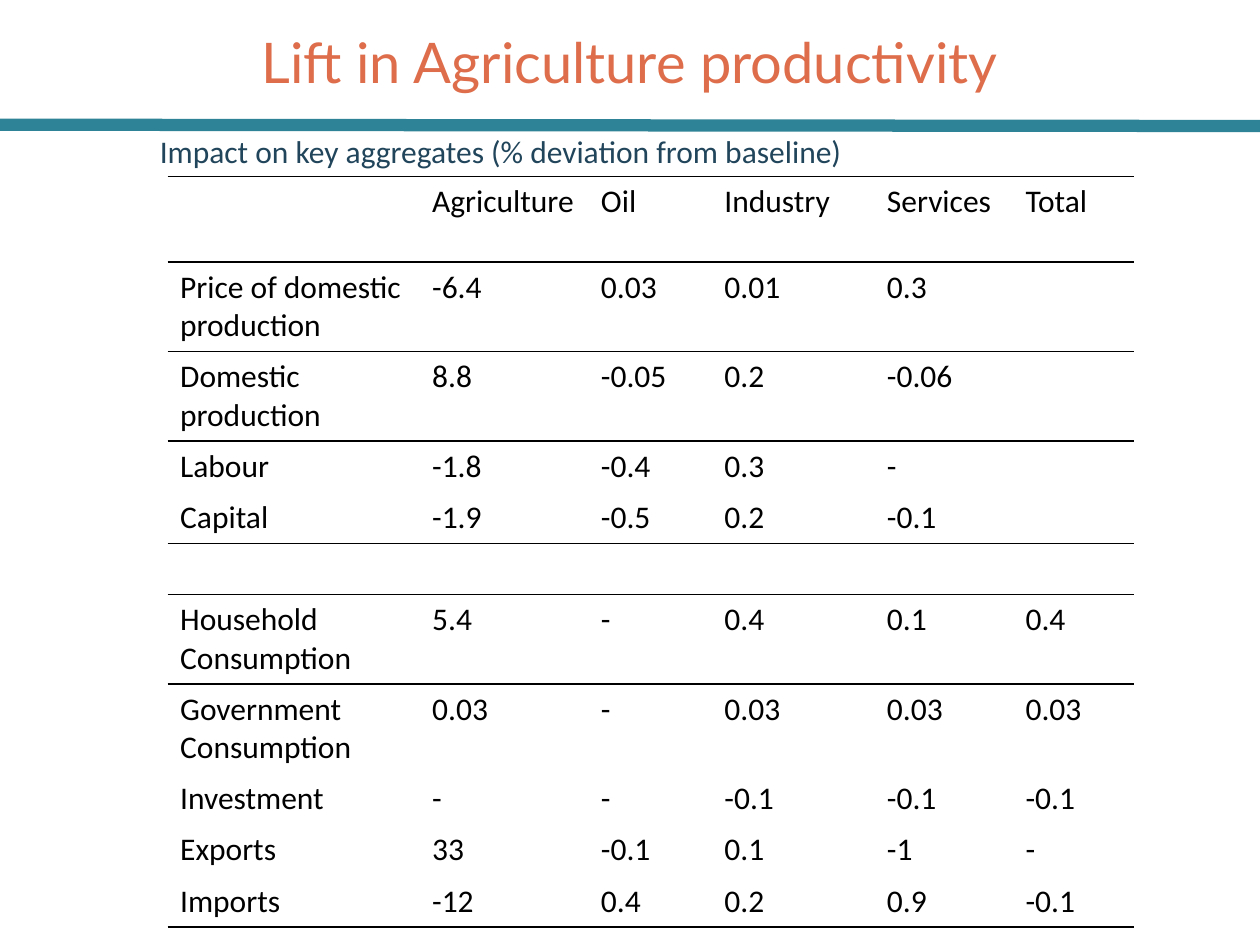
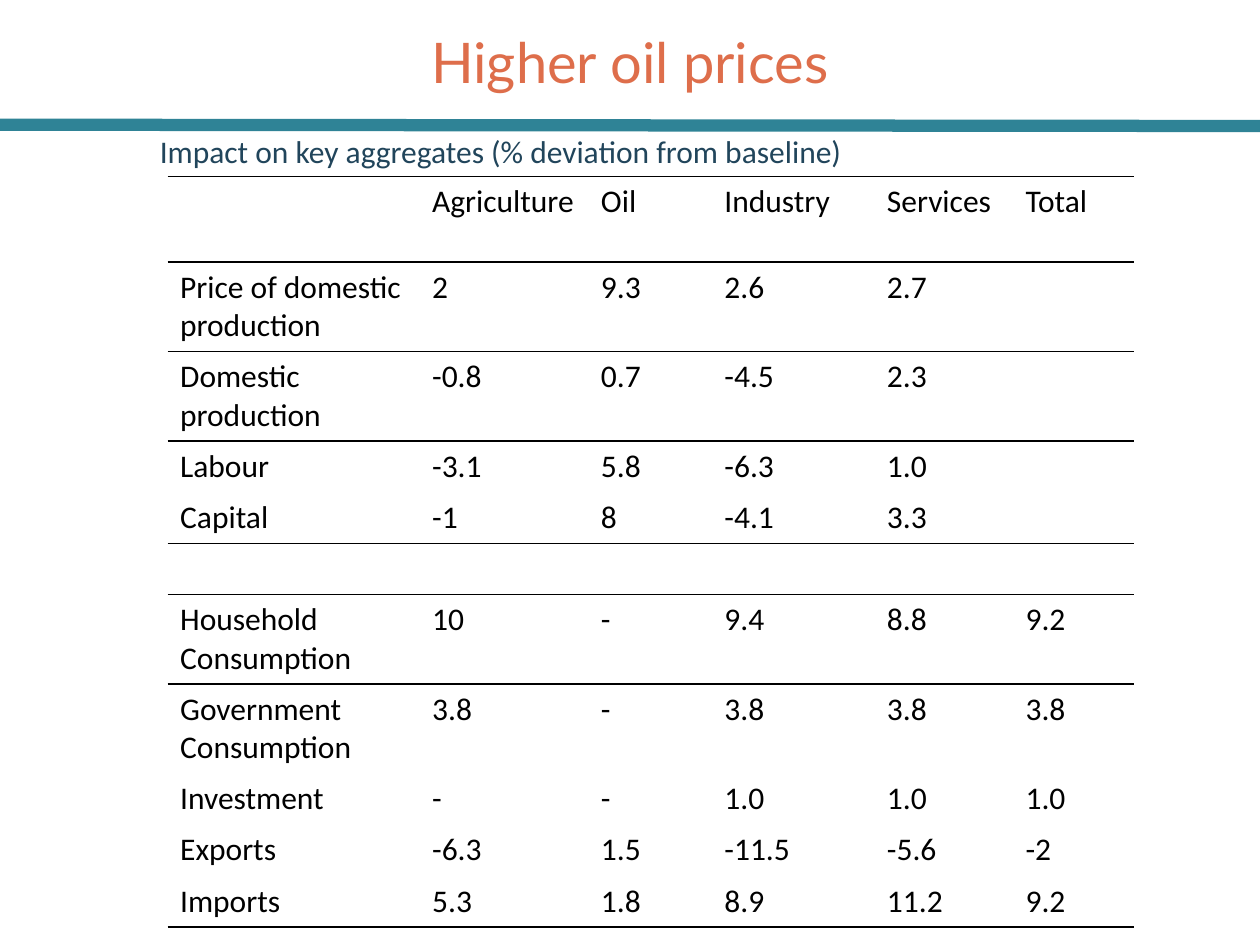
from lxml import etree
from pptx import Presentation
from pptx.dml.color import RGBColor
from pptx.enum.shapes import MSO_CONNECTOR
from pptx.enum.text import MSO_ANCHOR, PP_ALIGN
from pptx.oxml.ns import qn
from pptx.util import Inches, Pt

STRAIGHT = MSO_CONNECTOR.STRAIGHT
MIDDLE = MSO_ANCHOR.MIDDLE
CENTER, LEFT = PP_ALIGN.CENTER, PP_ALIGN.LEFT

# Shared look
CORAL, TEAL, NAVY, BLACK = "DE6E4B", "2F8396", "21455B", "000000"
HEAD, BODY = "Lato", "Calibri"
PLAIN = "{2D5ABB26-0587-4C30-8999-92F81FD0307C}"  # no style, no grid
TITLE_BOX = (0.5, 0.17, 9, 0.63)
NOTE_BOX = (1.17, 1, 7.17, 0.4)
GRID_BOX = (1.33, 1.4, 7.67, 5.88)
NOTE = "Impact on key aggregates (% deviation from baseline)"

# Table frame: column widths, row labels and ruled rows
WIDTHS = [2, 1.34, 0.98, 1.29, 1.1, 0.96]
HEADS = ["", "Agriculture", "Oil", "Industry", "Services", "Total"]
LABELS = ["Price of domestic production", "Domestic production", "Labour",
          "Capital", "", "Household Consumption", "Government Consumption",
          "Investment", "Exports", "Imports"]
TALL, LOW = 0.68, 0.39
RULED = {0, 1, 4, 5, 10}  # rows with a line below

FARM = [["-6.4", "0.03", "0.01", "0.3"],
        ["8.8", "-0.05", "0.2", "-0.06"],
        ["-1.8", "-0.4", "0.3", "-"],
        ["-1.9", "-0.5", "0.2", "-0.1"],
        [],
        ["5.4", "-", "0.4", "0.1", "0.4"],
        ["0.03", "-", "0.03", "0.03", "0.03"],
        ["-", "-", "-0.1", "-0.1", "-0.1"],
        ["33", "-0.1", "0.1", "-1", "-"],
        ["-12", "0.4", "0.2", "0.9", "-0.1"]]
OIL = [["2", "9.3", "2.6", "2.7"],
       ["-0.8", "0.7", "-4.5", "2.3"],
       ["-3.1", "5.8", "-6.3", "1.0"],
       ["-1", "8", "-4.1", "3.3"],
       [],
       ["10", "-", "9.4", "8.8", "9.2"],
       ["3.8", "-", "3.8", "3.8", "3.8"],
       ["-", "-", "1.0", "1.0", "1.0"],
       ["-6.3", "1.5", "-11.5", "-5.6", "-2"],
       ["5.3", "1.8", "8.9", "11.2", "9.2"]]


def color(code):
    return RGBColor.from_string(code)


def inches(box):
    return [Inches(v) for v in box]


def write(frame, text, font, size, code, align=LEFT):
    frame.text = text
    para = frame.paragraphs[0]
    para.alignment = align
    para.font.name = font
    para.font.size = Pt(size)
    para.font.color.rgb = color(code)


def rule(cell, side):
    """Draw a thin black border on one side of a cell."""
    line = etree.SubElement(cell._tc.get_or_add_tcPr(), qn("a:" + side),
                            w=str(Pt(1)))
    fill = etree.SubElement(line, qn("a:solidFill"))
    etree.SubElement(fill, qn("a:srgbClr"), val=BLACK)


def add_title(slide, box, text):
    title = slide.shapes.title
    title.left, title.top, title.width, title.height = inches(box)
    title.text_frame.vertical_anchor = MIDDLE
    write(title.text_frame, text, HEAD, 32, CORAL, CENTER)


def add_band(slide):
    band = slide.shapes.add_connector(
        STRAIGHT, *inches((0, 0.99, 10, 1)))
    band.line.color.rgb = color(TEAL)
    band.line.width = Pt(7)
    etree.SubElement(band._element.spPr, qn("a:effectLst"))


def add_note(slide, box):
    frame = slide.shapes.add_textbox(*inches(box)).text_frame
    frame.word_wrap = True
    write(frame, NOTE, BODY, 18, NAVY)


def add_grid(slide, box, data):
    rows = [HEADS] + [[name] + vals for name, vals in zip(LABELS, data)]
    grid = slide.shapes.add_table(
        len(rows), len(HEADS), *inches(box)).table
    grid.first_row = grid.horz_banding = False
    grid._tbl.tblPr.find(qn("a:tableStyleId")).text = PLAIN
    for col, width in zip(grid.columns, WIDTHS):
        col.width = Inches(width)
    for r, row in enumerate(rows):
        tall = r == 0 or " " in row[0]
        grid.rows[r].height = Inches(TALL if tall else LOW)
        for c in range(len(HEADS)):
            cell = grid.cell(r, c)
            text = row[c] if c < len(row) else ""
            write(cell.text_frame, text, BODY, 18, BLACK)
            if r == 0 or r - 1 in RULED:
                rule(cell, "lnT")
            if r in RULED:
                rule(cell, "lnB")
            cell.fill.background()


def add_slide(deck, title, data):
    slide = deck.slides.add_slide(deck.slide_layouts[5])
    add_title(slide, TITLE_BOX, title)
    add_band(slide)
    add_grid(slide, GRID_BOX, data)
    add_note(slide, NOTE_BOX)


def main():
    deck = Presentation()
    deck.slide_width, deck.slide_height = inches((10, 7.5))
    add_slide(deck, "Lift in Agriculture productivity", FARM)
    add_slide(deck, "Higher oil prices", OIL)
    deck.save("out.pptx")


if __name__ == "__main__":
    main()
